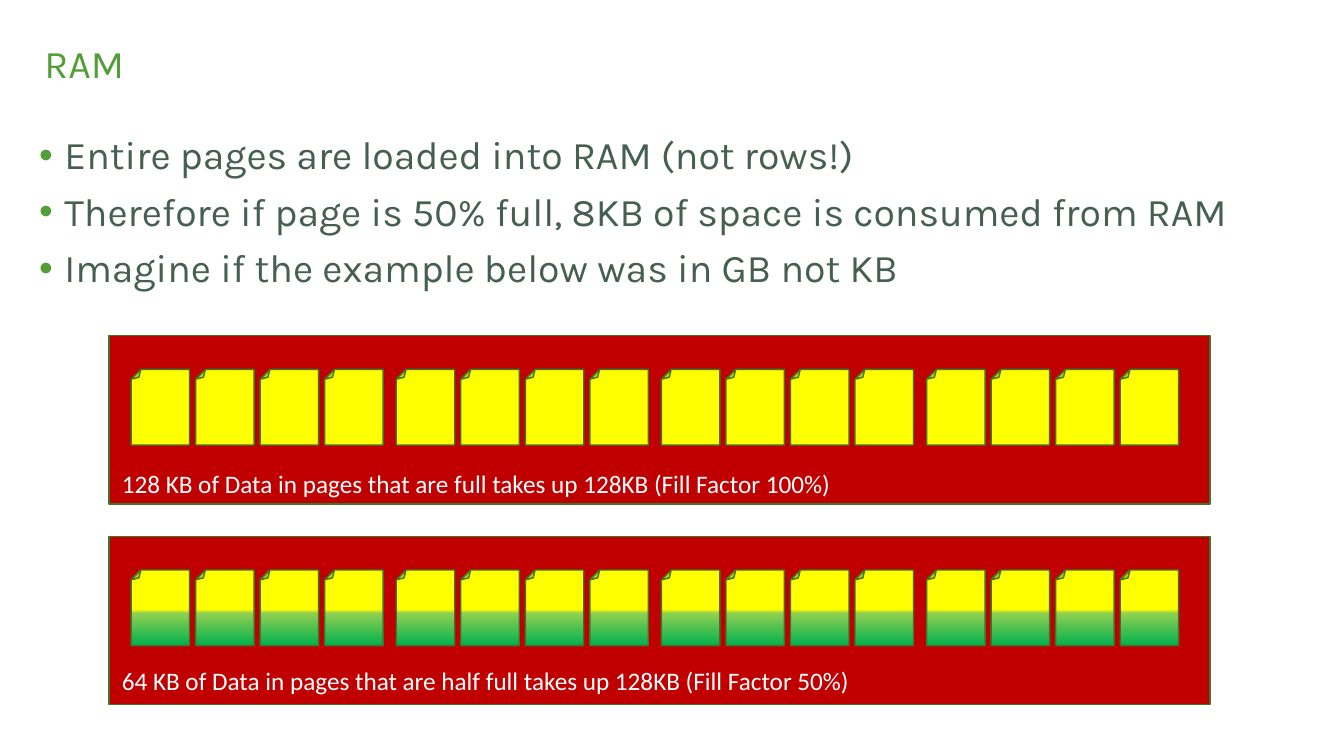
from dataclasses import dataclass

from pptx import Presentation
from pptx.dml.color import RGBColor
from pptx.enum.shapes import MSO_SHAPE as SHAPE
from pptx.enum.text import MSO_ANCHOR as ANCHOR, MSO_AUTO_SIZE as AUTO, PP_ALIGN as ALIGN
from pptx.oxml import parse_xml
from pptx.oxml.ns import nsdecls
from pptx.util import Inches, Pt


@dataclass(frozen=True)
class Theme:
    accent: str = "549E39"
    body: str = "455F51"
    outline: str = "3E752A"
    memory: str = "C00000"
    full_page: str = "FFFF00"
    half_page: tuple = ((0, "00B050"), (43, "92D050"), (48, "FFFF00"), (100, "FFFF00"))
    caption: str = "FFFFFF"
    text_font: str = "Karla"
    caption_font: str = "Calibri"
    text_size: int = 28
    caption_size: int = 18


class SlideBuilder:
    def __init__(self, slide, theme):
        self.slide = slide
        self.theme = theme

    def style(self, p, font, size, color):
        p.alignment = ALIGN.LEFT
        for r in p.runs:
            r.font.name = font
            r.font.size = Pt(size)
            r.font.color.rgb = RGBColor.from_string(color)

    def text_box(self, left, top, width, height):
        tf = self.slide.shapes.add_textbox(
            Inches(left), Inches(top), Inches(width), Inches(height)).text_frame
        tf.word_wrap = True
        return tf

    def title(self, text, left, top, width, height):
        s = self.slide.shapes.title
        s.left, s.top = Inches(left), Inches(top)
        s.width, s.height = Inches(width), Inches(height)
        tf = s.text_frame
        tf.text = text
        tf.auto_size = AUTO.NONE
        tf.vertical_anchor = ANCHOR.MIDDLE
        p = tf.paragraphs[0]
        p.line_spacing = 0.9
        self.style(p, self.theme.text_font, self.theme.text_size, self.theme.accent)

    def bullets(self, lines, left, top, width, height):
        tf = self.text_box(left, top, width, height)
        tf.text = "\n".join(lines)
        for i, p in enumerate(tf.paragraphs):
            p.line_spacing = 0.9
            p.space_before = Pt(10 if i else 0)
            pPr = p._p.get_or_add_pPr()
            pPr.set("marL", str(Inches(0.25)))
            pPr.set("indent", str(Inches(-0.25)))
            for xml in (
                f'<a:buClr {nsdecls("a")}><a:srgbClr val="{self.theme.accent}"/></a:buClr>',
                f'<a:buFont {nsdecls("a")} typeface="Arial"/>',
                f'<a:buChar {nsdecls("a")} char="•"/>',
            ):
                pPr.append(parse_xml(xml))
            self.style(p, self.theme.text_font, self.theme.text_size, self.theme.body)

    def caption(self, text, left, top, width, height):
        tf = self.text_box(left, top, width, height)
        tf.text = text
        self.style(tf.paragraphs[0], self.theme.caption_font,
                   self.theme.caption_size, self.theme.caption)

    def shape(self, kind, fill, left, top, width, height):
        """Draw an outlined shape; fill is a colour or a tuple of gradient stops."""
        s = self.slide.shapes.add_shape(
            kind, Inches(left), Inches(top), Inches(width), Inches(height))
        s.shadow.inherit = False
        if isinstance(fill, str):
            s.fill.solid()
            s.fill.fore_color.rgb = RGBColor.from_string(fill)
        else:
            stops = "".join(
                f'<a:gs pos="{pos * 1000}"><a:srgbClr val="{color}"/></a:gs>'
                for pos, color in fill)
            s._element.spPr.prstGeom.addnext(parse_xml(
                f'<a:gradFill {nsdecls("a")} rotWithShape="1"><a:gsLst>{stops}</a:gsLst>'
                '<a:lin ang="5400000" scaled="0"/></a:gradFill>'))
        s.line.color.rgb = RGBColor.from_string(self.theme.outline)
        s.line.width = Pt(1)
        return s

    def memory_block(self, top, page_fill, text, caption_top):
        self.shape(SHAPE.RECTANGLE, self.theme.memory, 1.08, top, 10.92, 1.67)
        # Four groups of four pages
        for i in range(16):
            group, page = divmod(i, 4)
            left = 1.3 + 2.63 * group + 0.64 * page
            s = self.shape(SHAPE.FOLDED_CORNER, page_fill, left, top + 0.335, 0.58, 0.75)
            s.rotation = 180
        self.caption(text, 1.11, caption_top, 8.12, 0.4)


def main():
    prs = Presentation()
    prs.slide_width, prs.slide_height = Inches(13.33), Inches(7.5)
    theme = Theme()
    slide = SlideBuilder(prs.slides.add_slide(prs.slide_layouts[5]), theme)

    # Heading and key points
    slide.title("RAM", 0.34, 0.25, 11.5, 0.8)
    slide.bullets([
        "Entire pages are loaded into RAM (not rows!)",
        "Therefore if page is 50% full, 8KB of space is consumed from RAM",
        "Imagine if the example below was in GB not KB",
    ], 0.29, 1.3, 12.74, 1.66)

    # Memory used by full and half-full pages
    slide.memory_block(
        3.33, theme.full_page,
        "128 KB of Data in pages that are full takes up 128KB (Fill Factor 100%)", 4.6)
    slide.memory_block(
        5.32, theme.half_page,
        "64 KB of Data in pages that are half full takes up 128KB (Fill Factor 50%)", 6.55)

    prs.save("out.pptx")


if __name__ == "__main__":
    main()
